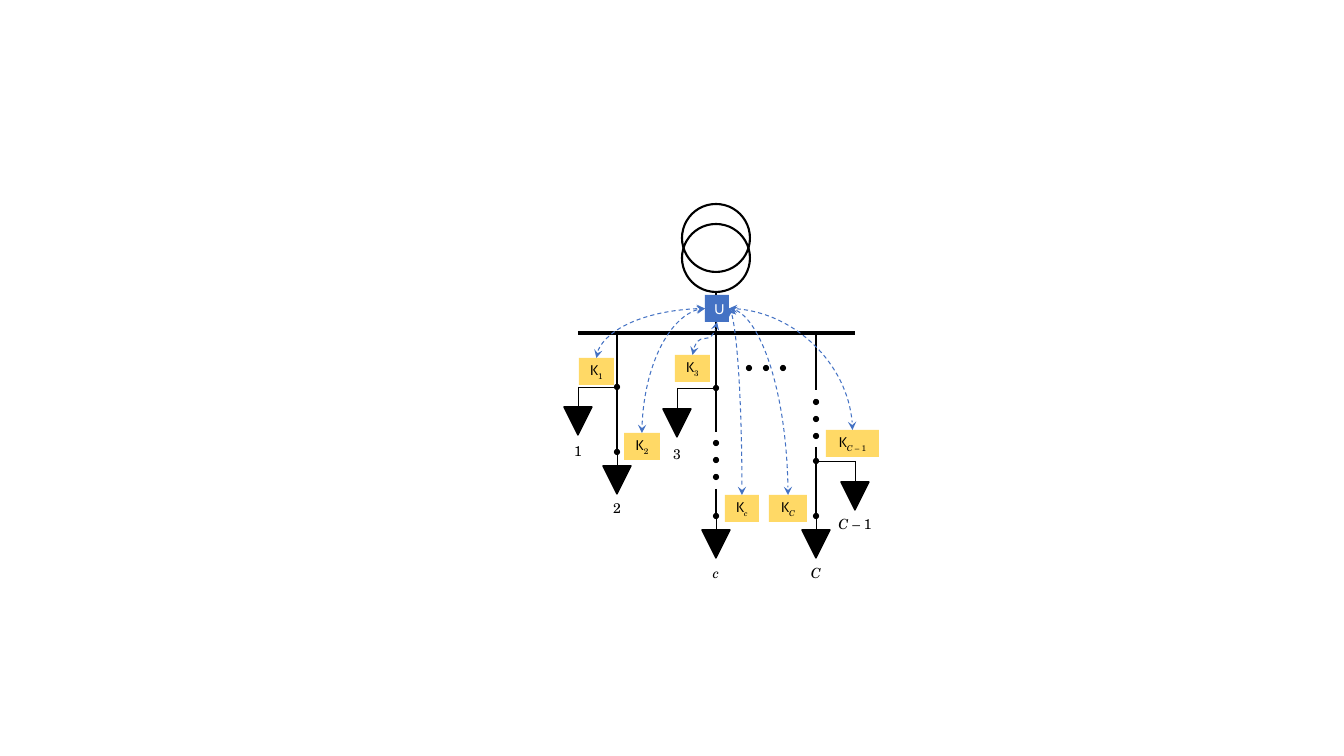
from dataclasses import dataclass

from lxml.etree import SubElement
from pptx import Presentation
from pptx.dml.color import RGBColor
from pptx.enum.dml import MSO_LINE
from pptx.enum.shapes import MSO_CONNECTOR, MSO_SHAPE
from pptx.enum.text import MSO_ANCHOR, PP_ALIGN
from pptx.oxml.ns import qn
from pptx.shapes.autoshape import Shape
from pptx.shapes.connector import Connector
from pptx.slide import Slide
from pptx.util import Emu, Pt

SCALE = 914400 / 100.8  # EMU per pixel
TOP, LEFT, BOTTOM, RIGHT = range(4)  # connection sites of a rectangle


@dataclass(frozen=True)
class Theme:
    """Colours, fonts, type size and line widths."""
    ink: str = "000000"
    unit: str = "4472C4"
    key: str = "FFD966"
    light: str = "FFFFFF"
    sans: str = "Cabin"
    serif: str = "TeX Gyre Schola"
    size: float = 10
    bus: float = 2.5
    feeder: float = 1.25
    ring: float = 1.5
    tap: float = 0.5
    edge: float = 1
    link: float = 0.75


@dataclass(frozen=True)
class Load:
    """A load triangle tapped from a feeder at a node."""
    feeder: int
    node: int
    x: int
    top: int
    label_y: int
    label: tuple[str, ...]


@dataclass(frozen=True)
class Key:
    """A key box and the side of the unit that its link meets."""
    x: int
    y: int
    width: int
    index: tuple[str, ...]
    side: int


THEME = Theme()
FEEDERS = (617, 716, 816)
MIDDLE = FEEDERS[1]
BUS_Y = 333
GAP = 17
RING = 68
TRIANGLE = 28
DOT = 4
BOX_HEIGHT = 27

FEEDER_PARTS = (
    (FEEDERS[0], BUS_Y, 452), (MIDDLE, BUS_Y, 432), (MIDDLE, 489, 516),
    (FEEDERS[2], BUS_Y, 390), (FEEDERS[2], 447, 516), (MIDDLE, 292, BUS_Y),
)
LOADS = (
    Load(FEEDERS[0], 387, 578, 407, 451, ("1",)),
    Load(FEEDERS[0], 452, 617, 466, 508, ("2",)),
    Load(MIDDLE, 388, 677, 409, 454, ("3",)),
    Load(MIDDLE, 516, 716, 530, 573, ("c",)),
    Load(FEEDERS[2], 461, 855, 482, 524, ("C", " – 1")),
    Load(FEEDERS[2], 516, 816, 530, 573, ("C",)),
)
KEYS = (
    Key(579, 358, 35, ("1",), LEFT),
    Key(624, 433, 36, ("2",), LEFT),
    Key(675, 355, 35, ("3",), BOTTOM),
    Key(725, 495, 34, ("c",), RIGHT),
    Key(769, 495, 38, ("C",), RIGHT),
    Key(826, 430, 53, ("C ", "– 1"), RIGHT),
)


def px(value: float) -> Emu:
    """Turn pixels into EMU."""
    return Emu(round(value * SCALE))


def add_figure(page: Slide, kind: MSO_SHAPE, x: float, y: float, width: float,
               height: float, fill: str | None, edge: float = 0) -> Shape:
    """Draw a preset shape with an optional fill and outline."""
    figure = page.shapes.add_shape(kind, px(x), px(y), px(width), px(height))
    figure.shadow.inherit = False
    if fill:
        figure.fill.solid()
        figure.fill.fore_color.rgb = RGBColor.from_string(fill)
    else:
        figure.fill.background()
    if edge:
        figure.line.color.rgb = RGBColor.from_string(THEME.ink)
        figure.line.width = Pt(edge)
    else:
        figure.line.fill.background()
    return figure


def add_line(page: Slide, x1: float, y1: float, x2: float, y2: float, width: float,
             color: str = THEME.ink, kind: MSO_CONNECTOR = MSO_CONNECTOR.STRAIGHT) -> Connector:
    """Draw a connector without a shadow."""
    line = page.shapes.add_connector(kind, px(x1), px(y1), px(x2), px(y2))
    line.line.color.rgb = RGBColor.from_string(color)
    line.line.width = Pt(width)
    SubElement(line._element.spPr, qn("a:effectLst"))
    return line


def add_dot(page: Slide, x: int, y: int) -> None:
    """Draw a small black dot centred on a point."""
    add_figure(page, MSO_SHAPE.OVAL, x - DOT / 2, y - DOT / 2, DOT, DOT, THEME.ink, THEME.ring)


def write(box: Shape, spans: tuple[str, ...], wrap: bool, color: str = THEME.ink,
          lead: str = "") -> None:
    """Write a sans lead with serif subscripts, or plain serif spans when there is no lead."""
    frame = box.text_frame
    frame.word_wrap = wrap
    frame.vertical_anchor = MSO_ANCHOR.MIDDLE
    frame.margin_left = frame.margin_right = frame.margin_top = frame.margin_bottom = 0
    para = frame.paragraphs[0]
    para.alignment = PP_ALIGN.CENTER
    for text in filter(None, (lead, *spans)):
        span = para.add_run()
        span.text = text
        span.font.size = Pt(THEME.size)
        span.font.color.rgb = RGBColor.from_string(color)
        is_lead = text == lead
        span.font.name = THEME.sans if is_lead else THEME.serif
        span.font.italic = not is_lead and text.strip().isalpha()
        if lead and not is_lead:
            span.font._element.set("baseline", "-25000")


def add_load(page: Slide, load: Load) -> None:
    """Draw a node, its tap, the load triangle and the label."""
    if load.x != load.feeder:
        add_line(page, load.feeder, load.node, load.x, load.node, THEME.tap)
    add_line(page, load.x, load.node, load.x, load.top, THEME.tap)
    add_dot(page, load.feeder, load.node)
    triangle = add_figure(page, MSO_SHAPE.ISOSCELES_TRIANGLE, load.x - TRIANGLE / 2, load.top,
                          TRIANGLE, TRIANGLE, THEME.ink, THEME.edge)
    triangle._element.spPr.find(qn("a:xfrm")).set("flipV", "1")
    width = 56
    label = page.shapes.add_textbox(px(load.x - width / 2), px(load.label_y - BOX_HEIGHT / 2),
                                    px(width), px(BOX_HEIGHT))
    write(label, load.label, True)


def stand_upright(link: Connector) -> None:
    """Turn a rising S-curve so that it leaves and arrives vertically."""
    left, top, width, height = link.left, link.top, link.width, link.height
    link.left, link.top = left + (width - height) // 2, top + (height - width) // 2
    link.width, link.height = height, width
    frame = link._element.spPr.find(qn("a:xfrm"))
    for name, value in (("rot", "5400000"), ("flipH", "1"), ("flipV", "1")):
        frame.set(name, value)


def add_link(page: Slide, unit: Shape, box: Shape, side: int) -> None:
    """Join the unit and a key box with a dashed two-headed curve."""
    link = add_line(page, 0, 0, 1, 1, THEME.link, THEME.unit, MSO_CONNECTOR.CURVE)
    if side == BOTTOM:
        link.begin_connect(box, TOP)
        link.end_connect(unit, side)
        stand_upright(link)
    else:
        link.begin_connect(unit, side)
        link.end_connect(box, TOP)
        link._element.spPr.find(qn("a:prstGeom")).set("prst", "curvedConnector2")
    link.line.dash_style = MSO_LINE.DASH
    outline = link._element.spPr.find(qn("a:ln"))
    for end in ("a:headEnd", "a:tailEnd"):
        SubElement(outline, qn(end), type="stealth")


def build() -> None:
    """Build the feeder diagram and save it."""
    deck = Presentation()
    deck.slide_width, deck.slide_height = px(1344), px(756)
    page = deck.slides.add_slide(deck.slide_layouts[6])
    for x, start, stop in FEEDER_PARTS:
        add_line(page, x, start, x, stop, THEME.feeder)
    add_line(page, 578, BUS_Y, 855, BUS_Y, THEME.bus)
    for top in (204, 224):
        add_figure(page, MSO_SHAPE.OVAL, MIDDLE - RING / 2, top, RING, RING, None, THEME.ring)
    for load in LOADS:
        add_load(page, load)
    for step in range(3):
        add_dot(page, MIDDLE, 443 + step * GAP)
        add_dot(page, FEEDERS[2], 402 + step * GAP)
        add_dot(page, 749 + step * GAP, 368)
    unit = add_figure(page, MSO_SHAPE.RECTANGLE, 705, 295, 24, BOX_HEIGHT, THEME.unit)
    write(unit, (), True, THEME.light, "U")
    unit.text_frame.margin_left = px(5)
    boxes = []
    for key in KEYS:
        box = add_figure(page, MSO_SHAPE.RECTANGLE, key.x, key.y, key.width, BOX_HEIGHT, THEME.key)
        write(box, key.index, False, lead="K")
        boxes.append(box)
    for key, box in zip(KEYS, boxes):
        add_link(page, unit, box, key.side)
    deck.save("out.pptx")


build()
